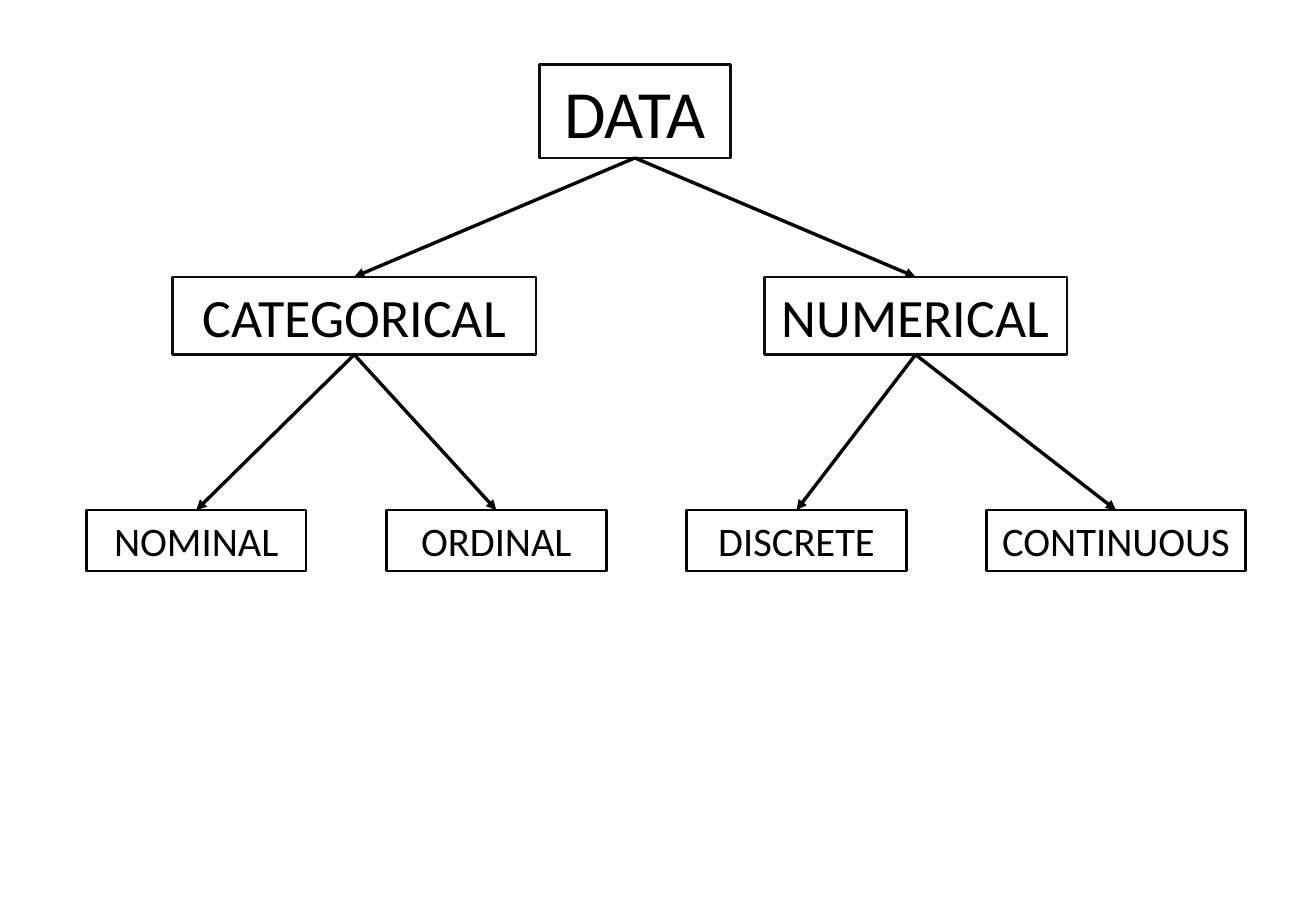
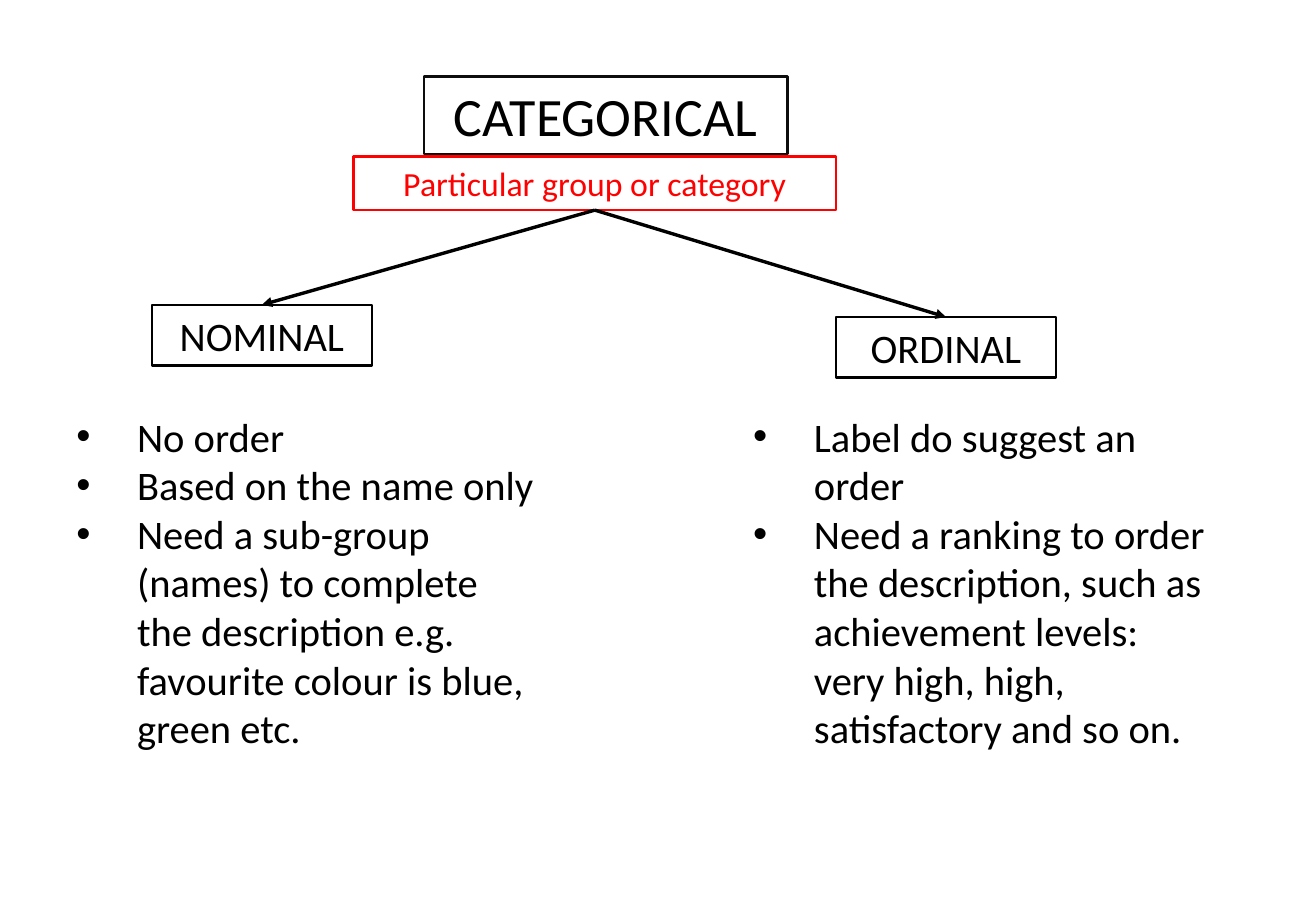
from lxml import etree
from pptx import Presentation
from pptx.dml.color import RGBColor
from pptx.enum.shapes import MSO_CONNECTOR, MSO_SHAPE
from pptx.enum.text import MSO_ANCHOR, MSO_AUTO_SIZE, PP_ALIGN
from pptx.oxml.ns import qn
from pptx.util import Inches, Pt

COLOURS = {"black": "000000", "outline": "0D0D0D", "red": "FF0000"}
FONT = "Calibri"
BOTTOM, TOP = 2, 0
LEAF_WIDTH, LEAF_HEIGHT = 1.81, 0.5
BRANCH_WIDTH, BRANCH_HEIGHT = 2.99, 0.64


def colour(name):
    return RGBColor.from_string(COLOURS[name])


def write_text(shape, lines, size=24, text_colour="black",
               align=PP_ALIGN.LEFT, anchor=MSO_ANCHOR.TOP, bullet=False):
    frame = shape.text_frame
    frame.word_wrap = True
    frame.auto_size = MSO_AUTO_SIZE.SHAPE_TO_FIT_TEXT
    frame.vertical_anchor = anchor
    for index, line in enumerate(lines):
        paragraph = frame.paragraphs[0] if index == 0 else frame.add_paragraph()
        paragraph.alignment = align
        if bullet:
            add_bullet(paragraph)
        run = paragraph.add_run()
        run.text = line
        run.font.name = FONT
        run.font.size = Pt(size)
        run.font.color.rgb = colour(text_colour)


def add_bullet(paragraph):
    properties = paragraph._p.get_or_add_pPr()
    properties.set("marL", str(Inches(0.5)))
    properties.set("indent", str(-Inches(0.5)))
    etree.SubElement(properties, qn("a:buFont")).set("typeface", "Arial")
    etree.SubElement(properties, qn("a:buChar")).set("char", "•")


def add_node(slide, text, left, top, width=LEAF_WIDTH, height=LEAF_HEIGHT,
             size=24, outline="black", text_colour="black"):
    shape = slide.shapes.add_shape(
        MSO_SHAPE.RECTANGLE, Inches(left), Inches(top), Inches(width), Inches(height))
    shape.shadow.inherit = False
    shape.fill.background()
    shape.line.color.rgb = colour(outline)
    shape.line.width = Pt(1.5)
    write_text(shape, [text], size=size, text_colour=text_colour,
               align=PP_ALIGN.CENTER, anchor=MSO_ANCHOR.MIDDLE)
    return shape


def add_branch(slide, text, left, top, width=BRANCH_WIDTH):
    return add_node(slide, text, left, top, width, BRANCH_HEIGHT,
                    size=32, outline="outline")


def add_arrows(slide, parent, children):
    for child in children:
        arrow = slide.shapes.add_connector(MSO_CONNECTOR.STRAIGHT, 0, 0, 0, 0)
        arrow.begin_connect(parent, BOTTOM)
        arrow.end_connect(child, TOP)
        arrow.line.color.rgb = colour("black")
        arrow.line.width = Pt(2)
        etree.SubElement(arrow.line._get_or_add_ln(), qn("a:tailEnd")).set("type", "triangle")
        etree.SubElement(arrow._element.spPr, qn("a:effectLst"))


def add_bullet_list(slide, lines, left, top, width=3.97, height=2.93):
    box = slide.shapes.add_textbox(
        Inches(left), Inches(top), Inches(width), Inches(height))
    write_text(box, lines, bullet=True)


def build_data_tree(slide, left, top):
    root = add_node(slide, "DATA", left + 3.73, top, 1.57, 0.77,
                    size=40, outline="outline")
    categorical = add_branch(slide, "CATEGORICAL", left + 0.71, top + 1.75)
    numerical = add_branch(slide, "NUMERICAL", left + 5.58, top + 1.75, width=2.49)

    # Evenly spaced bottom row
    leaf_widths = {"NOMINAL": LEAF_WIDTH, "ORDINAL": LEAF_WIDTH,
                   "DISCRETE": LEAF_WIDTH, "CONTINUOUS": 2.13}
    leaves = [add_node(slide, text, left + index * 2.47, top + 3.67, width)
              for index, (text, width) in enumerate(leaf_widths.items())]

    add_arrows(slide, root, [categorical, numerical])
    add_arrows(slide, categorical, leaves[:2])
    add_arrows(slide, numerical, leaves[2:])


def build_categorical_tree(slide, left, top):
    # Heading and its definition
    add_branch(slide, "CATEGORICAL", left + 2.96, top)
    definition = add_node(slide, "Particular group or category", left + 2.38, top + 0.66,
                          3.97, 0.44, size=20, outline="red", text_colour="red")

    # The two kinds and their descriptions
    nominal = add_node(slide, "NOMINAL", left + 0.72, top + 1.88)
    ordinal = add_node(slide, "ORDINAL", left + 6.35, top + 1.98)
    add_arrows(slide, definition, [nominal, ordinal])
    add_bullet_list(slide, [
        "No order",
        "Based on the name only",
        "Need a sub-group (names) to complete the description e.g. "
        "favourite colour is blue, green etc.",
    ], left, top + 2.71)
    add_bullet_list(slide, [
        "Label do suggest an order",
        "Need a ranking to order the description, such as achievement levels: "
        "very high, high, satisfactory and so on.",
    ], left + 5.57, top + 2.71)


def main():
    presentation = Presentation()
    presentation.slide_width = Inches(10.83)
    presentation.slide_height = Inches(7.5)
    blank = presentation.slide_layouts[6]
    build_data_tree(presentation.slides.add_slide(blank), 0.71, 0.53)
    build_categorical_tree(presentation.slides.add_slide(blank), 0.53, 0.63)
    presentation.save("out.pptx")


if __name__ == "__main__":
    main()
